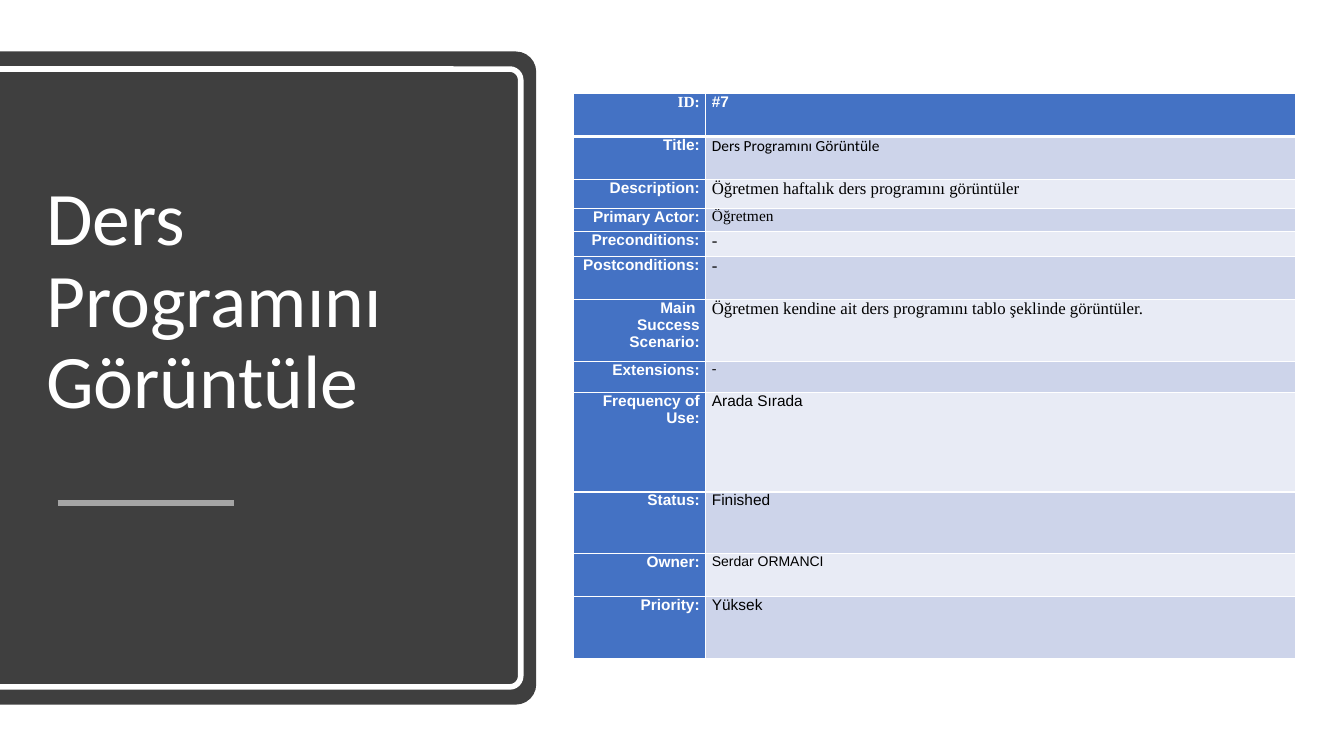
import pptx
import pptx.dml.color
import pptx.enum.shapes
import pptx.enum.text
import pptx.oxml
import pptx.oxml.ns
import pptx.util
from lxml import etree

COLORS = {
    "panel": "3F3F3F",
    "white": "FFFFFF",
    "rule": "A5A5A5",
    "label": "4472C4",
    "dark band": "CDD4EA",
    "light band": "E8EBF5",
    "text": "000000",
}
PRESET = pptx.enum.shapes.MSO_SHAPE
ALIGN = pptx.enum.text.PP_ALIGN

presentation = pptx.Presentation()
presentation.slide_width = pptx.util.Inches(13.33)
presentation.slide_height = pptx.util.Inches(7.5)
slide = presentation.slides.add_slide(presentation.slide_layouts[6])

# The slide is a grid of 100 columns by 100 rows
column = presentation.slide_width / 100
row = presentation.slide_height / 100


def color(name):
    return pptx.dml.color.RGBColor.from_string(COLORS[name])


def add_run(paragraph, text, font_name, size, color_name, bold=False):
    run = paragraph.add_run()
    run.text = text
    run.font.name = font_name
    run.font.size = pptx.util.Pt(size)
    run.font.bold = bold
    run.font.color.rgb = color(color_name)


# Left panel and its inner frame: turned so that the rounded corners face right
panels = []
for left, top, width, height, rounding in [
    (0, 6.8, 39.9, 86.4, 0.038),
    (-0.26, 9.13, 39.01, 81.73, 0.021),
]:
    seen_width, seen_height = width * column, height * row
    shift = (seen_width - seen_height) / 2
    panel = slide.shapes.add_shape(
        PRESET.ROUND_2_SAME_RECTANGLE,
        int(left * column + shift), int(top * row - shift),
        int(seen_height), int(seen_width),
    )
    panel.rotation = 90
    panel._element.spPr.xfrm.set("flipH", "1")
    panel.adjustments[0] = rounding
    panel.adjustments[1] = 0
    panel.shadow.inherit = False
    panels.append(panel)

backdrop, frame = panels
backdrop.fill.solid()
backdrop.fill.fore_color.rgb = color("panel")
backdrop.line.fill.background()
frame.fill.background()
frame.line.color.rgb = color("white")
frame.line.width = pptx.util.Pt(4)

# Title
title = slide.shapes.add_textbox(
    int(2.7 * column), int(16.4 * row), int(32.56 * column), int(47.33 * row)
)
title.text_frame.word_wrap = True
title.text_frame.vertical_anchor = pptx.enum.text.MSO_ANCHOR.MIDDLE
title_paragraph = title.text_frame.paragraphs[0]
title_paragraph.line_spacing = 0.9
add_run(title_paragraph, "Ders Programını Görüntüle", "Calibri", 54, "white")

# Short rule under the title
rule = slide.shapes.add_connector(
    pptx.enum.shapes.MSO_CONNECTOR.STRAIGHT,
    int(4.28 * column), int(66.53 * row), int(17.4 * column), int(66.53 * row),
)
rule.line.color.rgb = color("rule")
rule.line.width = pptx.util.Pt(4)
etree.SubElement(rule._element.spPr, pptx.oxml.ns.qn("a:effectLst"))

# Use case table: label, value, value font, value size, height in grid rows
use_case = [
    ("ID:", "#7", "Arial", 11, 5.65),
    ("Title:", "Ders Programını Görüntüle", "Calibri", 11, 5.65),
    ("Description:", "Öğretmen haftalık ders programını görüntüler", "Times New Roman", 12, 3.85),
    ("Primary Actor:", "Öğretmen", "Times New Roman", 11, 3.12),
    ("Preconditions:", "-", "Times New Roman", 12, 3.3),
    ("Postconditions:", "-", "Times New Roman", 12, 5.65),
    ("Main \nSuccess Scenario:", "Öğretmen kendine ait ders programını tablo şeklinde görüntüler.",
     "Times New Roman", 12, 8.17),
    ("Extensions:", "-", "Times New Roman", 10, 4.1),
    ("Frequency of Use:", "Arada Sırada", "Arial", 11, 13.2),
    ("Status:", "Finished", "Arial", 11, 8.17),
    ("Owner:", "Serdar ORMANCI", "Arial", 10, 5.65),
    ("Priority:", "Yüksek", "Arial", 11, 8.17),
]
column_widths = [9.83, 43.89]
table = slide.shapes.add_table(
    len(use_case), len(column_widths),
    int(42.69 * column), int(12.4 * row),
    int(sum(column_widths) * column), int(sum(entry[-1] for entry in use_case) * row),
).table
for table_column, width in zip(table.columns, column_widths):
    table_column.width = int(width * column)

for index, (label, value, value_font, value_size, height) in enumerate(use_case):
    table.rows[index].height = int(height * row)
    is_header = index == 0
    band = "label" if is_header else "dark band" if index % 2 else "light band"
    label_cell, value_cell = table.cell(index, 0), table.cell(index, 1)

    for cell, fill in [(label_cell, "label"), (value_cell, band)]:
        cell.margin_left = cell.margin_right = pptx.util.Inches(0.06)
        cell.margin_top = cell.margin_bottom = 0
        for side in "LRTB":
            is_thick = (index, side) in [(0, "B"), (1, "T")]
            cell._tc.get_or_add_tcPr().append(pptx.oxml.parse_xml(
                f'<a:ln{side} {pptx.oxml.ns.nsdecls("a")} w="{pptx.util.Pt(3 if is_thick else 1)}">'
                f'<a:solidFill><a:srgbClr val="{COLORS["white"]}"/></a:solidFill></a:ln{side}>'
            ))
        cell.fill.solid()
        cell.fill.fore_color.rgb = color(fill)

    label_paragraph = label_cell.text_frame.paragraphs[0]
    label_paragraph.alignment = ALIGN.RIGHT
    label_font = "Times New Roman" if is_header else "Arial"
    for line_number, line in enumerate(label.split("\n")):
        if line_number:
            label_paragraph.add_line_break()
        add_run(label_paragraph, line, label_font, 11, "white", bold=True)

    value_paragraph = value_cell.text_frame.paragraphs[0]
    value_paragraph.alignment = ALIGN.LEFT
    add_run(value_paragraph, value, value_font, value_size,
            "white" if is_header else "text", bold=is_header)

presentation.save("out.pptx")
